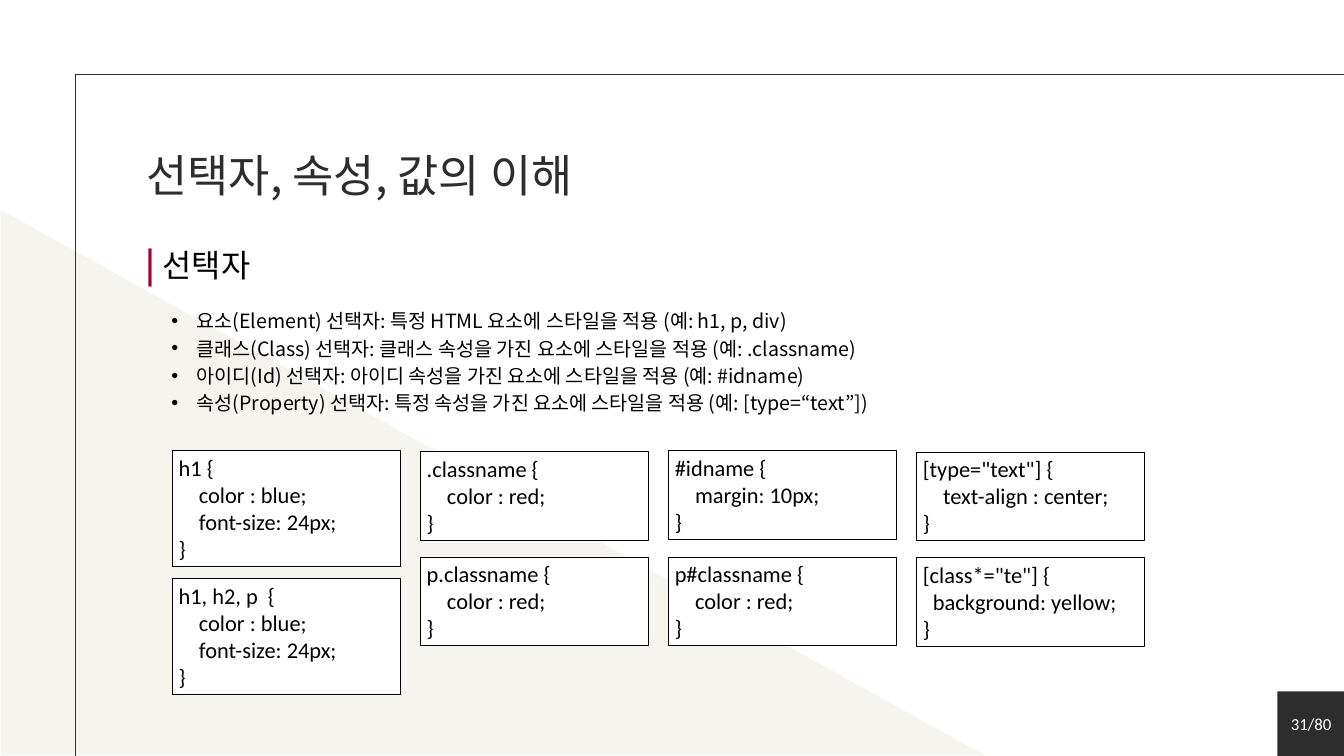
from lxml.etree import SubElement
from pptx import Presentation
from pptx.dml.color import RGBColor
from pptx.enum.shapes import MSO_CONNECTOR, MSO_SHAPE
from pptx.enum.text import MSO_ANCHOR, MSO_AUTO_SIZE, PP_ALIGN
from pptx.oxml.ns import qn
from pptx.util import Pt

DARK = RGBColor(0x2D, 0x2D, 0x2D)
CREAM = RGBColor(0xF6, 0xF4, 0xEF)
RED = RGBColor(0xA5, 0x00, 0x34)
BLACK = RGBColor(0, 0, 0)
WHITE = RGBColor(255, 255, 255)
SANS = "Noto Sans CJK KR"
CODE = "Calibri"

TITLE = {"name": SANS, "size": Pt(48), "color": DARK}
BAR = {"name": SANS, "size": Pt(36), "color": RED, "bold": True}
HEAD = {"name": SANS, "size": Pt(34), "color": BLACK, "bold": False}
BODY = {"name": SANS, "size": Pt(21), "color": BLACK}
RULE = {"name": CODE, "size": Pt(24), "color": BLACK}
PAGE = {"name": CODE, "size": Pt(18), "color": WHITE}

KINDS = [
    "요소(Element) 선택자: 특정 HTML 요소에 스타일을 적용 (예: h1, p, div)",
    "클래스(Class) 선택자: 클래스 속성을 가진 요소에 스타일을 적용 (예: .classname)",
    "아이디(Id) 선택자: 아이디 속성을 가진 요소에 스타일을 적용 (예: #idname)",
    "속성(Property) 선택자: 특정 속성을 가진 요소에 스타일을 적용 (예: [type=“text”])",
]
BLUE = ["    color : blue;", "    font-size: 24px;"]
COLS = [
    [(483, ["h1 {", *BLUE, "}"]), (620, ["h1, h2, p  {", *BLUE, "}"])],
    [(484, [".classname {", "    color : red;", "}"]),
     (597, ["p.classname {", "    color : red;", "}"])],
    [(483, ["#idname {", "    margin: 10px;", "}"]),
     (597, ["p#classname {", "    color : red;", "}"])],
    [(484.5, ['[type="text"] {', "    text-align : center;", "}"]),
     (597.5, ['[class*="te"] {', "  background: yellow;", "}"])],
]


def scale(box):
    return [Pt(n) for n in box]


def add_run(para, text, style):
    run = para.add_run()
    run.text = text
    for key, value in style.items():
        if key == "color":
            run.font.color.rgb = value
        else:
            setattr(run.font, key, value)
    props = run.font._element
    SubElement(props, qn("a:ea"), typeface=style["name"])


def set_frame(frame, **extra):
    values = {"word_wrap": True, "auto_size": MSO_AUTO_SIZE.SHAPE_TO_FIT_TEXT,
              "vertical_anchor": MSO_ANCHOR.TOP, **extra}
    for key, value in values.items():
        setattr(frame, key, value)


def add_para(frame, index):
    return frame.add_paragraph() if index else frame.paragraphs[0]


def add_plain(slide, box):
    frame = slide.shapes.add_textbox(*scale(box)).text_frame
    set_frame(frame, margin_left=0, margin_top=0, margin_right=0, margin_bottom=0)
    return frame


def add_block(slide, kind, box, fill, line=None):
    shape = slide.shapes.add_shape(kind, *scale(box))
    shape.shadow.inherit = False
    shape.fill.solid()
    shape.fill.fore_color.rgb = fill
    if line is None:
        shape.line.fill.background()
    else:
        shape.line.color.rgb = line
        shape.line.width = Pt(0.75)
    return shape


def add_line(slide, ends):
    line = slide.shapes.add_connector(MSO_CONNECTOR.STRAIGHT, *scale(ends))
    line.line.color.rgb = DARK
    line.line.width = Pt(0.75)
    SubElement(line._element.spPr, qn("a:effectLst"))


def add_back(slide, box):
    left, top, width, height = box
    right, base = left + width, top + height
    add_block(slide, MSO_SHAPE.RECTANGLE, (right - 71.3, base - 69.1, 71.3, 69.1), DARK)
    wedge = add_block(slide, MSO_SHAPE.ISOSCELES_TRIANGLE,
                      (left + 0.7, base - 585.3, 1054.8, 584.6), CREAM)
    wedge.adjustments[0] = 0
    add_line(slide, (left + 80.6, top + 80.6, left + 80.6, base))
    add_line(slide, (right, top + 79.2, left + 80.6, top + 79.2))


def add_heading(slide, box, runs, space):
    para = add_plain(slide, box).paragraphs[0]
    para.line_spacing = Pt(space)
    for text, style in runs:
        add_run(para, text, style)


def add_list(slide, box, items):
    frame = add_plain(slide, box)
    for index, item in enumerate(items):
        para = add_para(frame, index)
        para.line_spacing = Pt(29.4)
        props = para._p.get_or_add_pPr()
        props.set("marL", str(Pt(27)))
        props.set("indent", str(-Pt(27)))
        SubElement(props, qn("a:buFont"), typeface="Arial")
        SubElement(props, qn("a:buChar"), char="•")
        add_run(para, item, BODY)


def add_code(slide, box, lines):
    shape = add_block(slide, MSO_SHAPE.RECTANGLE, box, WHITE, BLACK)
    set_frame(shape.text_frame)
    for index, line in enumerate(lines):
        para = add_para(shape.text_frame, index)
        para.alignment = PP_ALIGN.LEFT
        add_run(para, line, RULE)


def add_grid(slide, box, cols):
    left, top, width, gap = box
    for index, col in enumerate(cols):
        for drop, lines in col:
            spot = (left + index * (width + gap), top + drop, width, 7 + 29.2 * len(lines))
            add_code(slide, spot, lines)


def add_page(slide, box, text):
    frame = slide.shapes.add_textbox(*scale(box)).text_frame
    set_frame(frame, vertical_anchor=MSO_ANCHOR.MIDDLE)
    para = frame.paragraphs[0]
    para.alignment = PP_ALIGN.RIGHT
    add_run(para, text, PAGE)


def main():
    deck = Presentation()
    deck.slide_width, deck.slide_height = Pt(1440), Pt(810)
    slide = deck.slides.add_slide(deck.slide_layouts[6])
    add_back(slide, (0, 0, 1440, 810))
    add_heading(slide, (157, 149, 899, 63.4), [("선택자, 속성, 값의 이해", TITLE)], 67.2)
    add_heading(slide, (155.5, 257, 317, 48), [("| ", BAR), ("선택자", HEAD)], 47.6)
    add_list(slide, (183.6, 326.9, 900, 117.4), KINDS)
    add_grid(slide, (184.3, 0, 244.8, 21), COLS)
    add_page(slide, (1265.8, 761, 167.8, 28.8), "31/80")
    deck.save("out.pptx")


if __name__ == "__main__":
    main()
